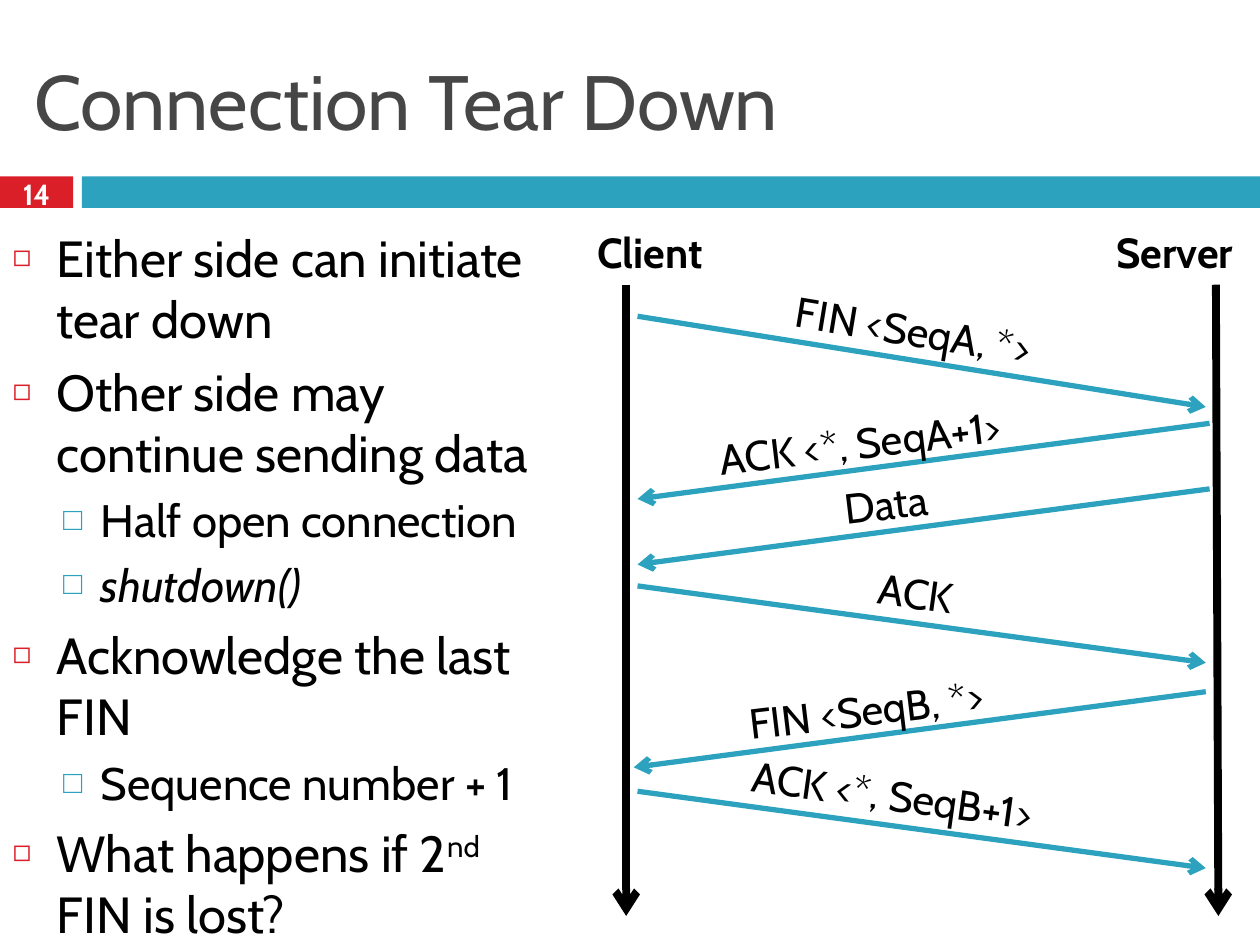
from lxml.etree import SubElement
from pptx import Presentation
from pptx.dml.color import RGBColor
from pptx.enum.shapes import MSO_CONNECTOR, MSO_SHAPE
from pptx.enum.text import MSO_ANCHOR, MSO_AUTO_SIZE, PP_ALIGN
from pptx.oxml.ns import qn
from pptx.util import Inches, Pt

INK = {"red": "DA1F28", "teal": "2DA2BF", "grey": "464646",
       "black": "000000", "white": "FFFFFF"}
LEVELS = [
    dict(size=29, gap=7, left=0.35, hang=0.35, mark="◻", ink="red", pct=60),
    dict(size=26, gap=5.5, left=0.7, hang=0.3, mark="□", ink="teal", pct=70),
]
POINTS = [
    (0, [("Either side can initiate tear down", "")]),
    (0, [("Other side may continue sending data", "")]),
    (1, [("Half open connection", "")]),
    (1, [("shutdown()", "italic")]),
    (0, [("Acknowledge the last FIN", "")]),
    (1, [("Sequence number + 1", "")]),
    (0, [("What happens if 2", ""), ("nd", "super"), (" FIN is lost?", "")]),
]
HOSTS = [("Client", 45.9, 11.4, 49.7, 49.7), ("Server", 87, 12.5, 96.5, 96.7)]
FLOWS = [
    ("FIN <SeqA, *>", (50.6, 25.1, 95.7, 32.3), (62.1, 23.9, 23.7), 9.4),
    ("ACK <*, SeqA+1>", (96, 33.6, 50.6, 39.6), (56, 32.3, 29.1), -6.9),
    ("Data", (96, 38.8, 50.6, 44.8), (66, 37.4, 9.1), -6.9),
    ("ACK", (50.6, 46.5, 95.7, 52.6), (68.7, 44.6, 8.9), 8),
    ("FIN <SeqB, *>", (95.7, 54.9, 50.3, 60.9), (58.4, 53.6, 23.7), -6.9),
    ("ACK <*, SeqB+1>", (50.6, 62.8, 95.7, 68.9), (58.6, 60.9, 29.1), 8),
]


def tint(name):
    return RGBColor.from_string(INK[name])


class Deck:
    """Draws styled elements on a slide gridded into 100 columns and 75 rows."""

    def __init__(self):
        self.prs = Presentation()
        self.prs.slide_width, self.prs.slide_height = Inches(10), Inches(7.5)
        self.slide = self.prs.slides.add_slide(self.prs.slide_layouts[1])
        self.shapes = self.slide.shapes

    def grid(self, *cells):
        units = (self.prs.slide_width / 100, self.prs.slide_height / 75)
        return [round(cell * units[i % 2]) for i, cell in enumerate(cells)]

    def run(self, para, text, size, ink="black", bold=False, italic=False):
        run = para.add_run()
        run.text = text
        font = run.font
        font.name, font.size, font.bold, font.italic = "Cabin", Pt(size), bold, italic
        font.color.rgb = tint(ink)
        return run

    def place(self, shape, cells):
        shape.left, shape.top, shape.width, shape.height = self.grid(*cells)
        frame = shape.text_frame
        frame.auto_size = MSO_AUTO_SIZE.NONE
        return frame

    def title(self, text, *cells):
        frame = self.place(self.shapes.title, cells)
        frame.vertical_anchor = MSO_ANCHOR.MIDDLE
        para = frame.paragraphs[0]
        para.alignment = PP_ALIGN.LEFT
        self.run(para, text, 44, "grey")

    def bullet(self, para, style):
        props = para._p.get_or_add_pPr()
        props.set("marL", str(Inches(style["left"])))
        props.set("indent", str(-Inches(style["hang"])))
        color = SubElement(props, qn("a:buClr"))
        SubElement(color, qn("a:srgbClr"), val=INK[style["ink"]])
        SubElement(props, qn("a:buSzPct"), val=str(style["pct"] * 1000))
        SubElement(props, qn("a:buChar"), char=style["mark"])

    def body(self, points, *cells):
        frame = self.place(self.slide.placeholders[1], cells)
        for i, (level, parts) in enumerate(points):
            style = LEVELS[level]
            para = frame.add_paragraph() if i else frame.paragraphs[0]
            para.level = level
            self.bullet(para, style)
            para.space_before = Pt(style["gap"] if i else 0)
            for text, look in parts:
                run = self.run(para, text, style["size"], italic=look == "italic")
                if look == "super":
                    run._r.get_or_add_rPr().set("baseline", "30000")

    def bar(self, ink, *cells):
        shape = self.shapes.add_shape(MSO_SHAPE.RECTANGLE, *self.grid(*cells))
        shape.shadow.inherit = False
        shape.fill.solid()
        shape.fill.fore_color.rgb = tint(ink)
        shape.line.fill.background()

    def label(self, text, *cells, size=24, ink="black", bold=False,
              align=PP_ALIGN.CENTER, turn=0, wrap=False):
        box = self.shapes.add_textbox(*self.grid(*cells))
        box.rotation = turn
        frame = box.text_frame
        frame.word_wrap = wrap
        frame.vertical_anchor = MSO_ANCHOR.MIDDLE if wrap else MSO_ANCHOR.TOP
        frame.auto_size = MSO_AUTO_SIZE.NONE if wrap else MSO_AUTO_SIZE.SHAPE_TO_FIT_TEXT
        para = frame.paragraphs[0]
        para.alignment = align
        self.run(para, text, size, ink, bold)

    def arrow(self, ink, width, *cells):
        line = self.shapes.add_connector(MSO_CONNECTOR.STRAIGHT, *self.grid(*cells))
        line.line.color.rgb = tint(ink)
        line.line.width = Pt(width)
        SubElement(line.line._get_or_add_ln(), qn("a:tailEnd"), type="arrow")
        SubElement(line._element.spPr, qn("a:effectLst"))


def main():
    deck = Deck()
    deck.bar("red", 0, 14, 5.8, 2.5)
    deck.bar("teal", 6.5, 14, 93.5, 2.5)
    deck.title("Connection Tear Down", 1.7, 2.5, 96.7, 10.8)
    deck.label("14", 0, 13.7, 5.8, 3.3, size=16.6, ink="white", bold=True, wrap=True)
    deck.body(POINTS, 0, 17.5, 45.9, 55.8)
    for name, left, width, start, end in HOSTS:
        deck.arrow("black", 4.5, start, 22.6, end, 72.7)
        deck.label(name, left, 17.5, width, 5, bold=True)
    for text, ends, (left, top, width), turn in FLOWS:
        deck.arrow("teal", 3, *ends)
        deck.label(text, left, top, width, 5, align=PP_ALIGN.LEFT, turn=turn)
    deck.prs.save("out.pptx")


if __name__ == "__main__":
    main()
